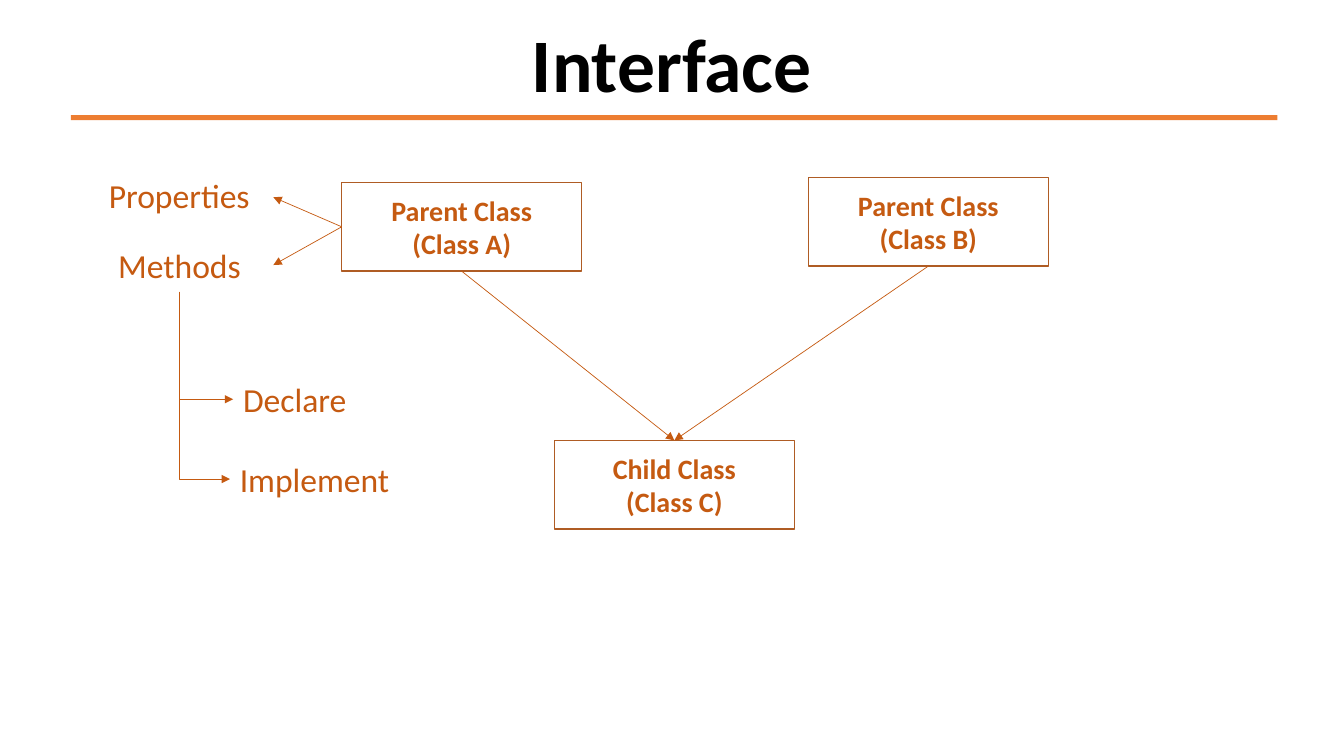
import pptx
import pptx.util
import pptx.dml.color
import pptx.enum.shapes
import pptx.enum.text
import lxml.etree
from pptx.oxml.ns import qn

Pt = pptx.util.Pt
COLORS = {"title": "000000", "rule": "ED7D31", "box": "FFFFFF", "border": "AF5C24", "accent": "C55A11"}


def style_text(text_frame, size, color, bold, alignment):
    for paragraph in text_frame.paragraphs:
        paragraph.alignment = alignment
        for run in paragraph.runs:
            run.font.name = "Calibri"
            run.font.size = Pt(size)
            run.font.bold = bold
            run.font.color.rgb = pptx.dml.color.RGBColor.from_string(COLORS[color])


def add_arrow(kind, start, end):
    connector = slide.shapes.add_connector(kind, Pt(start[0]), Pt(start[1]), Pt(end[0]), Pt(end[1]))
    connector.line.width = Pt(0.5)
    connector.line.color.rgb = pptx.dml.color.RGBColor.from_string(COLORS["accent"])
    properties = connector._element.spPr
    lxml.etree.SubElement(properties.find(qn("a:ln")), qn("a:tailEnd"), type="triangle")
    lxml.etree.SubElement(properties, qn("a:effectLst"))
    return properties


presentation = pptx.Presentation()
presentation.slide_width = Pt(960)
presentation.slide_height = Pt(540)
slide = presentation.slides.add_slide(presentation.slide_layouts[5])
center = pptx.enum.text.PP_ALIGN.CENTER
left_aligned = pptx.enum.text.PP_ALIGN.LEFT
middle = pptx.enum.text.MSO_ANCHOR.MIDDLE
rectangle = pptx.enum.shapes.MSO_SHAPE.RECTANGLE
straight = pptx.enum.shapes.MSO_CONNECTOR.STRAIGHT
elbow = pptx.enum.shapes.MSO_CONNECTOR.ELBOW

title = slide.shapes.title
title.left, title.top, title.width, title.height = Pt(82.8), Pt(0), Pt(794.2), Pt(89.3)
title.text_frame.text = "Interface"
title.text_frame.vertical_anchor = middle
style_text(title.text_frame, 54, "title", True, center)

rule = slide.shapes.add_shape(rectangle, Pt(50.6), Pt(82.2), Pt(861.8), Pt(3.6))
rule.shadow.inherit = False
rule.fill.solid()
rule.fill.fore_color.rgb = pptx.dml.color.RGBColor.from_string(COLORS["rule"])
rule.line.fill.background()

box_width, box_height = 171.4, 63.4
class_boxes = [
    ("Parent Class\n(Class A)", 244.1, 130.3),
    ("Parent Class\n(Class B)", 577.4, 126.7),
    ("Child Class\n(Class C)", 396, 314.6),
]
for text, left, top in class_boxes:
    box = slide.shapes.add_shape(rectangle, Pt(left), Pt(top), Pt(box_width), Pt(box_height))
    box.shadow.inherit = False
    box.fill.solid()
    box.fill.fore_color.rgb = pptx.dml.color.RGBColor.from_string(COLORS["box"])
    box.line.color.rgb = pptx.dml.color.RGBColor.from_string(COLORS["border"])
    box.line.width = Pt(1)
    box.text_frame.text = text
    box.text_frame.vertical_anchor = middle
    style_text(box.text_frame, 20, "accent", True, center)

child_left, child_top = class_boxes[2][1:]
for text, left, top in class_boxes[:2]:
    add_arrow(straight, (left + box_width / 2, top + box_height), (child_left + box_width / 2, child_top))

parent_left, parent_top = class_boxes[0][1:]
for member_y in (140.9, 189.3):
    add_arrow(straight, (parent_left, parent_top + box_height / 2), (195.3, member_y))

labels = [
    ("Properties", 70.6, 121.2, 116.6),
    ("Methods", 77.3, 171.7, 103),
    ("Declare", 166.6, 267.1, 89.3),
    ("Implement", 164.2, 324.2, 122.4),
]
for text, left, top, width in labels:
    label = slide.shapes.add_textbox(Pt(left), Pt(top), Pt(width), Pt(36.3))
    label.text_frame.word_wrap = False
    label.text_frame.auto_size = pptx.enum.text.MSO_AUTO_SIZE.SHAPE_TO_FIT_TEXT
    label.text_frame.text = text
    style_text(label.text_frame, 24, "accent", False, left_aligned)

trunk_x, trunk_top = 128.4, 208.4
for end_x, end_y in ((166.6, 285.2), (164.2, 342.2)):
    middle_x, middle_y = (trunk_x + end_x) / 2, (trunk_top + end_y) / 2
    half_run, half_drop = (end_x - trunk_x) / 2, (end_y - trunk_top) / 2
    properties = add_arrow(
        elbow,
        (middle_x + half_drop, middle_y - half_run),
        (middle_x - half_drop, middle_y + half_run),
    )
    properties.find(qn("a:xfrm")).set("rot", str(270 * 60000))
    properties.find(qn("a:prstGeom")).set("prst", "bentConnector2")

presentation.save("out.pptx")
